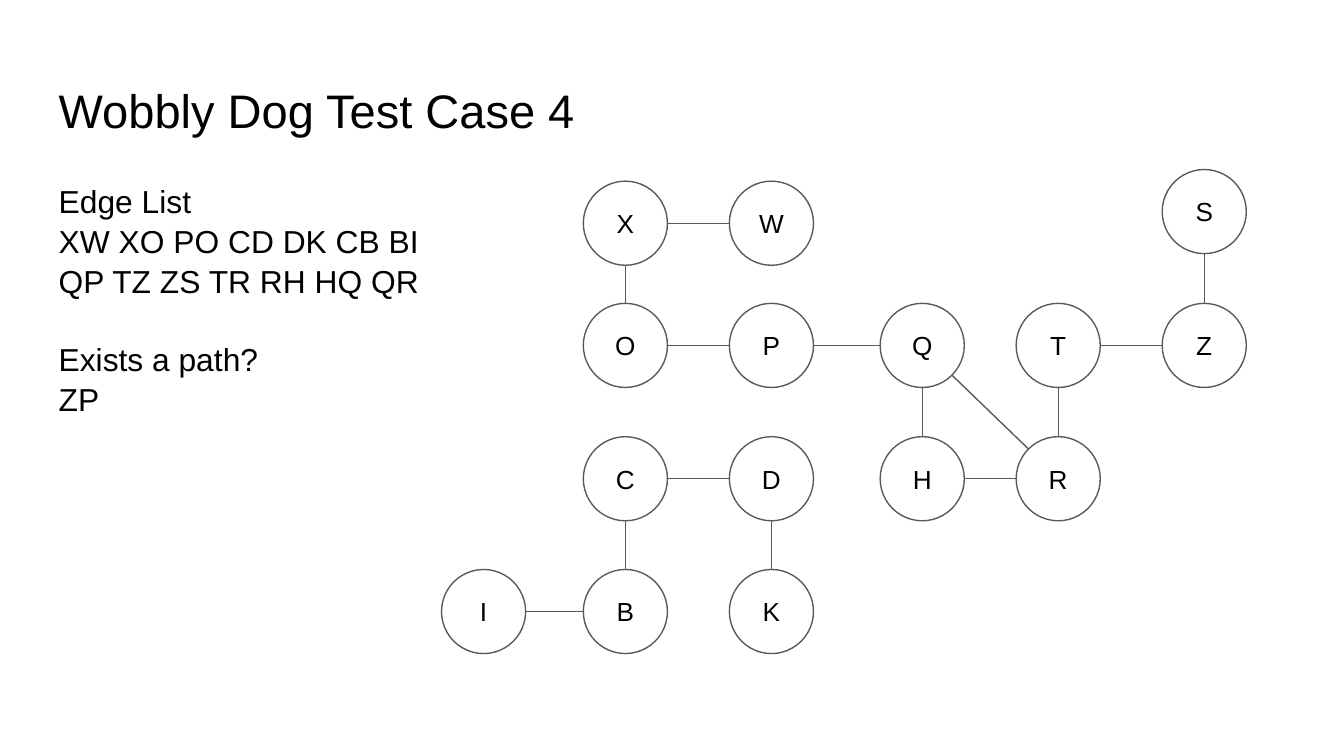
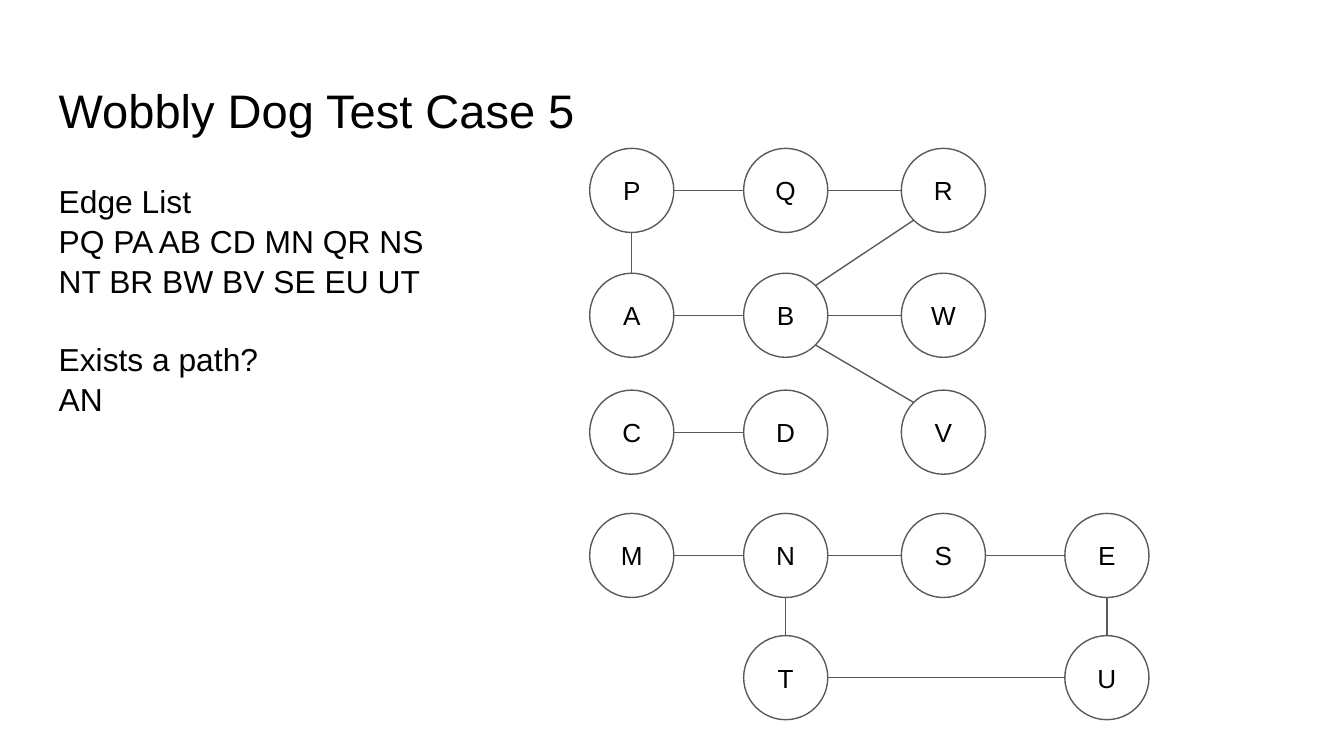
"""Build two slides, each showing a graph test case beside its edge list."""
from math import hypot

from lxml import etree
from pptx import Presentation
from pptx.dml.color import RGBColor
from pptx.enum.shapes import MSO_CONNECTOR, MSO_SHAPE
from pptx.enum.text import MSO_ANCHOR, PP_ALIGN
from pptx.oxml.ns import qn
from pptx.util import Cm, Pt

STRAIGHT, ELLIPSE = MSO_CONNECTOR.STRAIGHT, MSO_SHAPE.OVAL
TOP, MIDDLE, BOTTOM = MSO_ANCHOR.TOP, MSO_ANCHOR.MIDDLE, MSO_ANCHOR.BOTTOM
LEFT, CENTER = PP_ALIGN.LEFT, PP_ALIGN.CENTER

CASES = [
    {
        "title": "Wobbly Dog Test Case 4",
        "edges": "XW XO PO CD DK CB BI QP TZ ZS TR RH HQ QR",
        "query": "ZP",
        "columns": [9.14, 11.82, 14.58, 17.43, 20.0, 22.76],
        "rows": [
            (4.0, ".....S"),
            (4.22, ".XW..."),
            (6.53, ".OPQTZ"),
            (9.05, ".CDHR."),
            (11.56, "IBK..."),
        ],
    },
    {
        "title": "Wobbly Dog Test Case 5",
        "edges": "PQ PA AB CD MN QR NS NT BR BW BV SE EU UT",
        "query": "AN",
        "columns": [11.94, 14.85, 17.83, 20.92],
        "rows": [
            (3.6, "PQR."),
            (5.96, "ABW."),
            (8.17, "CDV."),
            (10.5, "MNSE"),
            (12.81, ".T.U"),
        ],
    },
]

FONT, INK, OUTLINE = "Arial", "000000", "595959"
MARGIN, INSET = 0.86, 0.25
DIAMETER = 1.59
BODY_SIZE, BODY_SPACING, SECTION_GAP = 17, 1.05, 20.5


def color(value):
    return RGBColor.from_string(value)


def write(box, lines, size, anchor=TOP, align=LEFT):
    frame = box.text_frame
    frame.word_wrap = True
    frame.vertical_anchor = anchor
    frame.margin_left = frame.margin_right = Cm(INSET)
    frame.margin_top = frame.margin_bottom = Cm(INSET)
    frame.text = "\n".join(lines)
    for paragraph in frame.paragraphs:
        paragraph.alignment = align
        paragraph.font.name = FONT
        paragraph.font.size = Pt(size)
        paragraph.font.color.rgb = color(INK)
    return frame.paragraphs


def draw_outline(shape):
    shape.line.color.rgb = color(OUTLINE)
    shape.line.width = Pt(0.75)


def add_texts(page, case):
    title = page.shapes.add_textbox(Cm(MARGIN), Cm(1.25), Cm(23.67), Cm(1.6))
    write(title, [case["title"]], 25.2, BOTTOM)
    body = page.shapes.add_textbox(Cm(MARGIN), Cm(3.15), Cm(8.3), Cm(4.88))
    lines = ["Edge List", case["edges"], "Exists a path?", case["query"]]
    paragraphs = write(body, lines, BODY_SIZE)
    for paragraph in paragraphs:
        paragraph.line_spacing = BODY_SPACING
    paragraphs[2].space_before = Pt(SECTION_GAP)


def add_node(page, letter, center):
    left, top = (value - DIAMETER / 2 for value in center)
    node = page.shapes.add_shape(ELLIPSE, Cm(left), Cm(top), Cm(DIAMETER), Cm(DIAMETER))
    node.shadow.inherit = False
    node.fill.background()
    draw_outline(node)
    write(node, [letter], 14, MIDDLE, CENTER)


def add_edge(page, start, end):
    steps = [(b > a) - (b < a) for a, b in zip(start, end)]
    reach = DIAMETER / 2 / hypot(*steps)
    begin = [Cm(a + step * reach) for a, step in zip(start, steps)]
    finish = [Cm(b - step * reach) for b, step in zip(end, steps)]
    edge = page.shapes.add_connector(STRAIGHT, *begin, *finish)
    draw_outline(edge)
    etree.SubElement(edge._element.spPr, qn("a:effectLst"))


def add_graph(page, case):
    centers = {
        letter: (x, y)
        for y, letters in case["rows"]
        for x, letter in zip(case["columns"], letters)
        if letter != "."
    }
    for letter, center in centers.items():
        add_node(page, letter, center)
    for first, second in case["edges"].split():
        add_edge(page, centers[first], centers[second])


deck = Presentation()
deck.slide_width, deck.slide_height = Cm(25.4), Cm(14.29)
for case in CASES:
    page = deck.slides.add_slide(deck.slide_layouts[6])
    add_texts(page, case)
    add_graph(page, case)
deck.save("out.pptx")
